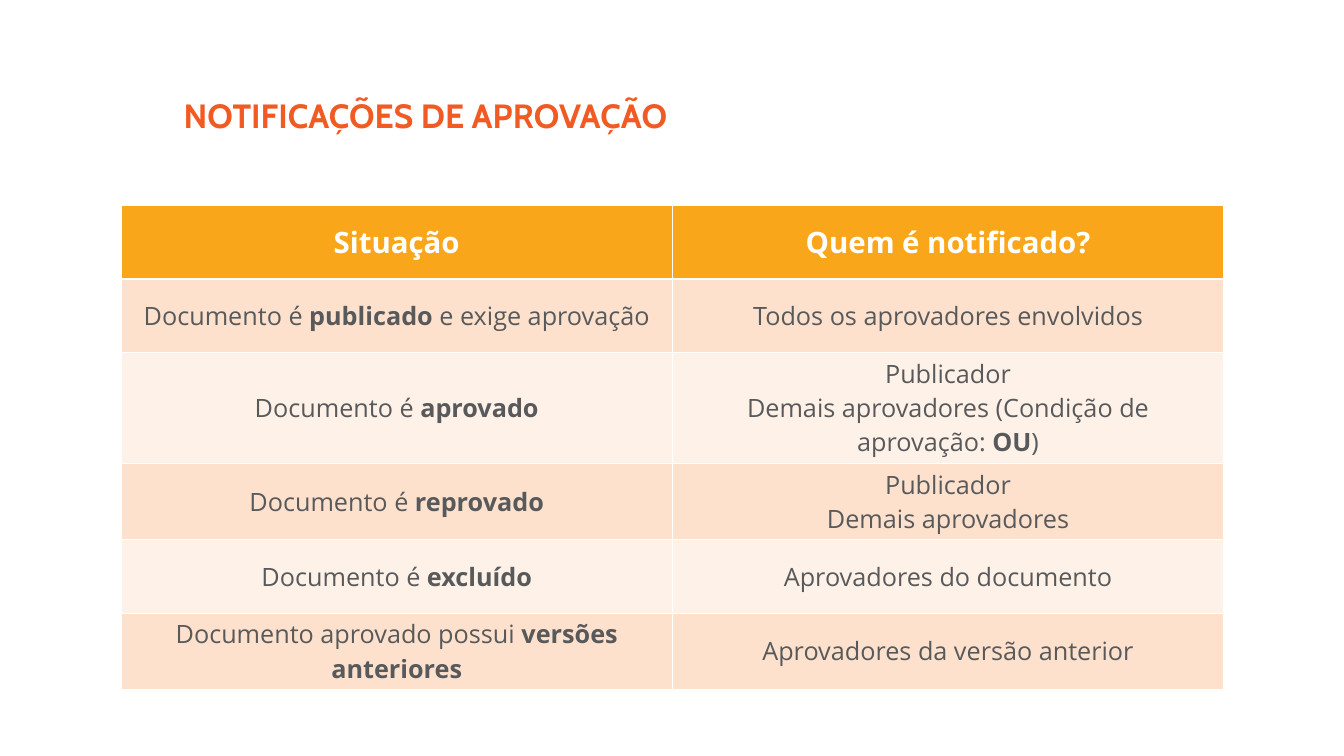
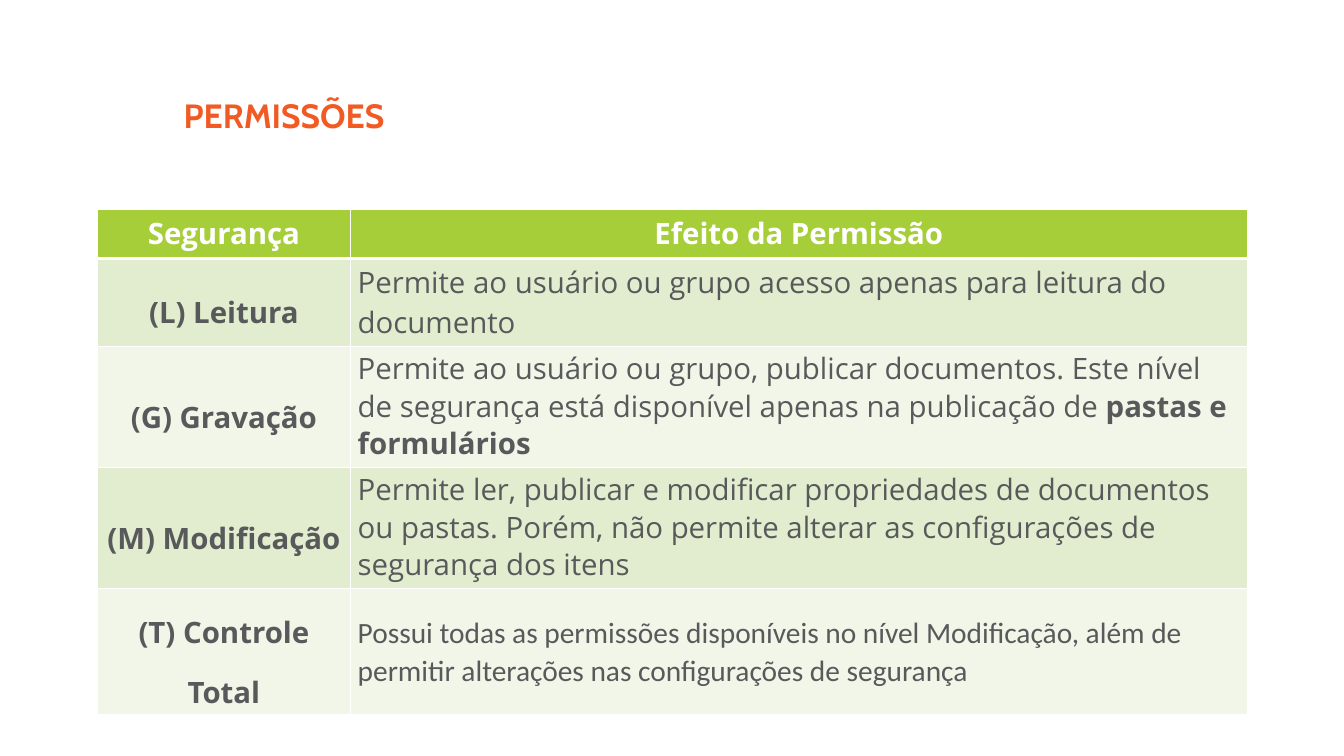
"""Builds two slides, each with a title and a banded table, on approval notices and permissions."""
from lxml import etree
from pptx import Presentation
from pptx.dml.color import RGBColor
from pptx.enum.text import MSO_ANCHOR as Anchor, PP_ALIGN as Align
from pptx.oxml.ns import qn
from pptx.util import Inches, Pt

ORANGE, GREY, WHITE = "F15A22", "58595B", "FFFFFF"


def color(hex_code):
    return RGBColor.from_string(hex_code)


def write(frame, text, size=28, font="Open Sans", ink=GREY, bold=False,
          align=Align.LEFT, spacing=None, anchor=Anchor.MIDDLE):
    """Writes one paragraph per line; *...* switches bold."""
    frame.word_wrap = True
    frame.vertical_anchor = anchor
    for number, line in enumerate(text.split("\n")):
        paragraph = frame.paragraphs[0] if number == 0 else frame.add_paragraph()
        paragraph.alignment = align
        if spacing:
            paragraph.line_spacing = spacing
        for index, part in enumerate(line.split("*")):
            if part:
                run = paragraph.add_run()
                run.text = part
                run.font.size = Pt(size)
                run.font.name = font
                run.font.bold = bold or index % 2 == 1
                run.font.color.rgb = color(ink)


centered = dict(size=24, align=Align.CENTER)
security = dict(bold=True, align=Align.CENTER, spacing=1.5)
effect = dict(spacing=Pt(36))

topics = [
    dict(
        title="NOTIFICAÇÕES DE APROVAÇÃO",
        left=1.6, top=2.72, widths=[7.29, 7.29],
        heights=[0.97, 0.97, 1.47, 1.01, 0.97, 1.01],
        header_fill="FAA61A", bands=["FDE1CD", "FEF1E8"], header_anchor=Anchor.MIDDLE,
        header=["Situação", "Quem é notificado?"],
        rows=[
            [("Documento é *publicado* e exige aprovação", centered),
             ("Todos os aprovadores envolvidos", centered)],
            [("Documento é *aprovado*", centered),
             ("Publicador\nDemais aprovadores (Condição de aprovação: *OU*)", centered)],
            [("Documento é *reprovado*", centered),
             ("Publicador\nDemais aprovadores", centered)],
            [("Documento é *excluído*", centered),
             ("Aprovadores do documento", centered)],
            [("Documento aprovado possui *versões anteriores*", centered),
             ("Aprovadores da versão anterior", centered)],
        ],
    ),
    dict(
        title="PERMISSÕES",
        left=1.29, top=2.77, widths=[3.34, 11.86], heights=[0.65, 1.16, 1.6, 1.6, 1.67],
        header_fill="A6CE39", bands=["E1EDCE", "F1F6E8"], header_anchor=Anchor.TOP,
        header=["Segurança", "Efeito da Permissão"],
        rows=[
            [("(L) Leitura", security),
             ("Permite ao usuário ou grupo acesso apenas para leitura do documento", {})],
            [("(G) Gravação", security),
             ("Permite ao usuário ou grupo, publicar documentos. Este nível de segurança está "
              "disponível apenas na publicação de *pastas e formulários*", effect)],
            [("(M) Modificação", security),
             ("Permite ler, publicar e modificar propriedades de documentos ou pastas. Porém, "
              "não permite alterar as configurações de segurança dos itens", effect)],
            [("(T) Controle Total", security),
             ("Possui todas as permissões disponíveis no nível Modificação, além de permitir "
              "alterações nas configurações de segurança", dict(effect, font="Calibri"))],
        ],
    ),
]

deck = Presentation()
deck.slide_width, deck.slide_height = Inches(17.77), Inches(10)

for topic in topics:
    slide = deck.slides.add_slide(deck.slide_layouts[6])
    title = slide.shapes.add_textbox(Inches(2.33), Inches(1.2), Inches(13.9), Inches(1.41))
    write(title.text_frame, topic["title"], size=32, font="Cabin", ink=ORANGE, bold=True,
          anchor=Anchor.TOP)

    widths, heights = topic["widths"], topic["heights"]
    grid = slide.shapes.add_table(
        len(heights), len(widths), Inches(topic["left"]), Inches(topic["top"]),
        Inches(sum(widths)), Inches(sum(heights))).table
    for column, width in zip(grid.columns, widths):
        column.width = Inches(width)
    for row, height in zip(grid.rows, heights):
        row.height = Inches(height)

    heading = dict(ink=WHITE, bold=True, align=Align.CENTER, anchor=topic["header_anchor"])
    contents = [[(label, heading) for label in topic["header"]]] + topic["rows"]
    for r, entries in enumerate(contents):
        for c, (text, style) in enumerate(entries):
            cell = grid.cell(r, c)
            write(cell.text_frame, text, **style)
            cell.vertical_anchor = style.get("anchor", Anchor.MIDDLE)
            properties = cell._tc.get_or_add_tcPr()
            for side in ("lnL", "lnR", "lnT", "lnB"):
                under_header = (r, side) in ((0, "lnB"), (1, "lnT"))
                border = etree.SubElement(properties, qn(f"a:{side}"),
                                          w=str(Pt(3 if under_header else 1)))
                paint = etree.SubElement(border, qn("a:solidFill"))
                etree.SubElement(paint, qn("a:srgbClr"), val=WHITE)
            cell.fill.solid()
            cell.fill.fore_color.rgb = color(
                topic["bands"][(r - 1) % 2] if r else topic["header_fill"])

deck.save("out.pptx")
